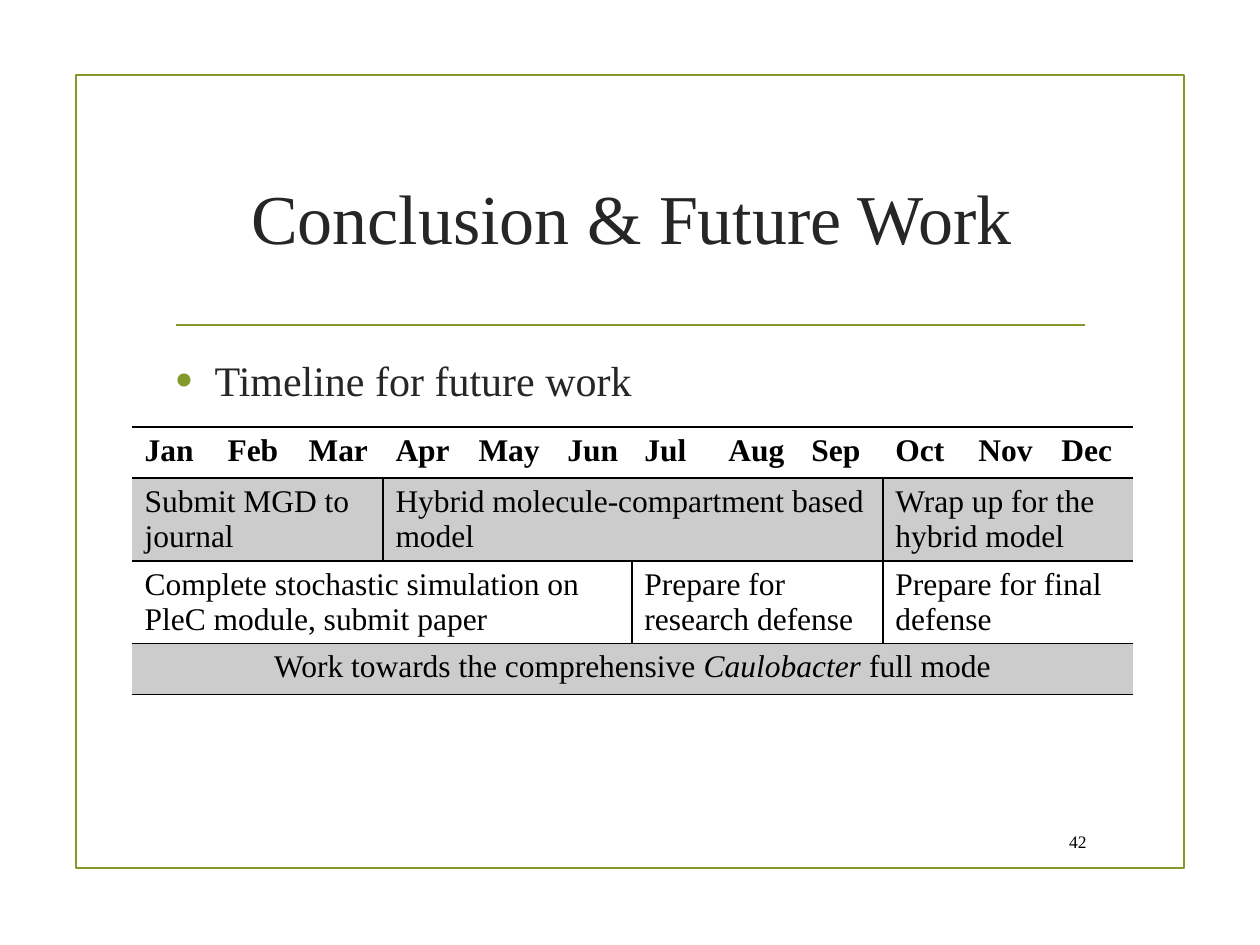
from lxml.etree import SubElement
from pptx import Presentation
from pptx.dml.color import RGBColor as RGB
from pptx.enum.shapes import MSO_CONNECTOR as CONN, MSO_SHAPE as SHAPE
from pptx.enum.text import MSO_ANCHOR as ANCHOR, MSO_AUTO_SIZE as AUTO, PP_ALIGN as ALIGN
from pptx.oxml.ns import qn
from pptx.util import Pt

# Content
TITLE = "Conclusion & Future Work"
BULLET = "Timeline for future work"
PAGE = "42"
MONTHS = "Jan Feb Mar Apr May Jun Jul Aug Sep Oct Nov Dec".split()
# Each task: months spanned, then text pieces; every second piece is italic
TASKS = [
    [(3, ["Submit MGD to journal"]),
     (6, ["Hybrid molecule-compartment based model"]),
     (3, ["Wrap up for the hybrid model"])],
    [(6, ["Complete stochastic simulation on PleC module, submit paper"]),
     (3, ["Prepare for research defense"]),
     (3, ["Prepare for final defense"])],
    [(12, ["Work towards the comprehensive ", "Caulobacter", " full mode"])],
]

# Theme and layout, lengths in px
THEME = dict(font="Times New Roman", accent="83992A", ink="262626", black="000000",
             title=40, body=24, table=18, page=10, rule=1.25, border=1, shade=20)
FRAME = (76, 75, 1108, 793)
RULE = (176, 325, 1085, 325)
TITLE_BOX = (163, 126, 937, 180)
BODY_BOX = (163, 348, 937, 470)
PAGE_BOX = (1045, 822, 54, 39)
TABLE_AT = (132, 427)
COLS = [83, 81, 87, 83, 89, 77, 84, 83, 84, 83, 83, 84]
ROWS = [51, 83, 82, 51]
INDENT = 39


def px(n):
    return round(n * 914400 / 126)


def place(sp, box):
    sp.left, sp.top, sp.width, sp.height = map(px, box)


def add_run(p, text, size, color, **fmt):
    r = p.add_run()
    r.text = text
    r.font.color.rgb = RGB.from_string(THEME[color])
    for key, value in dict(name=THEME["font"], size=Pt(THEME[size]), **fmt).items():
        setattr(r.font, key, value)


def setup(sp, box, anchor, align):
    place(sp, box)
    tf = sp.text_frame
    tf.auto_size, tf.word_wrap, tf.vertical_anchor = AUTO.NONE, True, anchor
    p = tf.paragraphs[0]
    p.alignment, p.space_before = align, Pt(0)
    return p


def style_line(sp):
    sp.line.color.rgb = RGB.from_string(THEME["accent"])
    sp.line.width = Pt(THEME["rule"])


def format_cell(cell, sides, shaded):
    tc_pr = cell._tc.get_or_add_tcPr()
    for side in "LRTB":
        ln = SubElement(tc_pr, qn("a:ln" + side), w=str(Pt(THEME["border"])))
        if side in sides:
            fill = SubElement(ln, qn("a:solidFill"))
            SubElement(fill, qn("a:srgbClr"), val=THEME["black"])
        else:
            SubElement(ln, qn("a:noFill"))
    if shaded:
        cell.fill.solid()
        cell.fill.fore_color.rgb = RGB.from_string(THEME["black"])
        color = tc_pr.find(qn("a:solidFill")).find(qn("a:srgbClr"))
        SubElement(color, qn("a:alpha"), val=str(THEME["shade"] * 1000))
    else:
        cell.fill.background()


prs = Presentation()
prs.slide_width, prs.slide_height = px(1260), px(945)
s = prs.slides.add_slide(prs.slide_layouts[1])

# Frame and rule
frame = s.shapes.add_shape(SHAPE.RECTANGLE, *map(px, FRAME))
frame.shadow.inherit = False
frame.fill.background()
style_line(frame)
rule = s.shapes.add_connector(CONN.STRAIGHT, *map(px, RULE))
style_line(rule)
SubElement(rule._element.spPr, qn("a:effectLst"))

# Title
p = setup(s.shapes.title, TITLE_BOX, ANCHOR.MIDDLE, ALIGN.CENTER)
add_run(p, TITLE, "title", "ink")

# Bullet
p = setup(s.placeholders[1], BODY_BOX, ANCHOR.TOP, ALIGN.LEFT)
p.space_after = Pt(6)
p_pr = p._p.get_or_add_pPr()
p_pr.set("marL", str(px(INDENT)))
p_pr.set("indent", str(-px(INDENT)))
SubElement(SubElement(p_pr, qn("a:buClr")), qn("a:srgbClr"), val=THEME["accent"])
SubElement(p_pr, qn("a:buSzPct"), val="115000")
SubElement(p_pr, qn("a:buFont"), typeface="Arial")
SubElement(p_pr, qn("a:buChar"), char="•")
add_run(p, BULLET, "body", "ink")

# Timeline table
table = s.shapes.add_table(len(ROWS), len(COLS), *map(px, TABLE_AT + (sum(COLS), sum(ROWS)))).table
table.first_row = table.horz_banding = False
for col, width in zip(table.columns, COLS):
    col.width = px(width)
for row, height in zip(table.rows, ROWS):
    row.height = px(height)

grid = [[(1, [month]) for month in MONTHS]] + TASKS
for i, row in enumerate(grid):
    start = 0
    for span, pieces in row:
        end = start + span
        cell = table.cell(i, start)
        if span > 1:
            cell.merge(table.cell(i, end - 1))
        sides = "TB"
        if i > 0:
            sides += "L" * (start > 0) + "R" * (end < len(COLS))
        for j in range(start, end):
            format_cell(table.cell(i, j), sides, i % 2 == 1)
        p = cell.text_frame.paragraphs[0]
        p.alignment = ALIGN.CENTER if span == len(COLS) else ALIGN.LEFT
        for n, text in enumerate(pieces):
            add_run(p, text, "table", "black", bold=i == 0, italic=n % 2 == 1)
        start = end

# Page number
p = setup(s.shapes.add_textbox(0, 0, 0, 0), PAGE_BOX, ANCHOR.MIDDLE, ALIGN.RIGHT)
add_run(p, PAGE, "page", "black")

prs.save("out.pptx")
